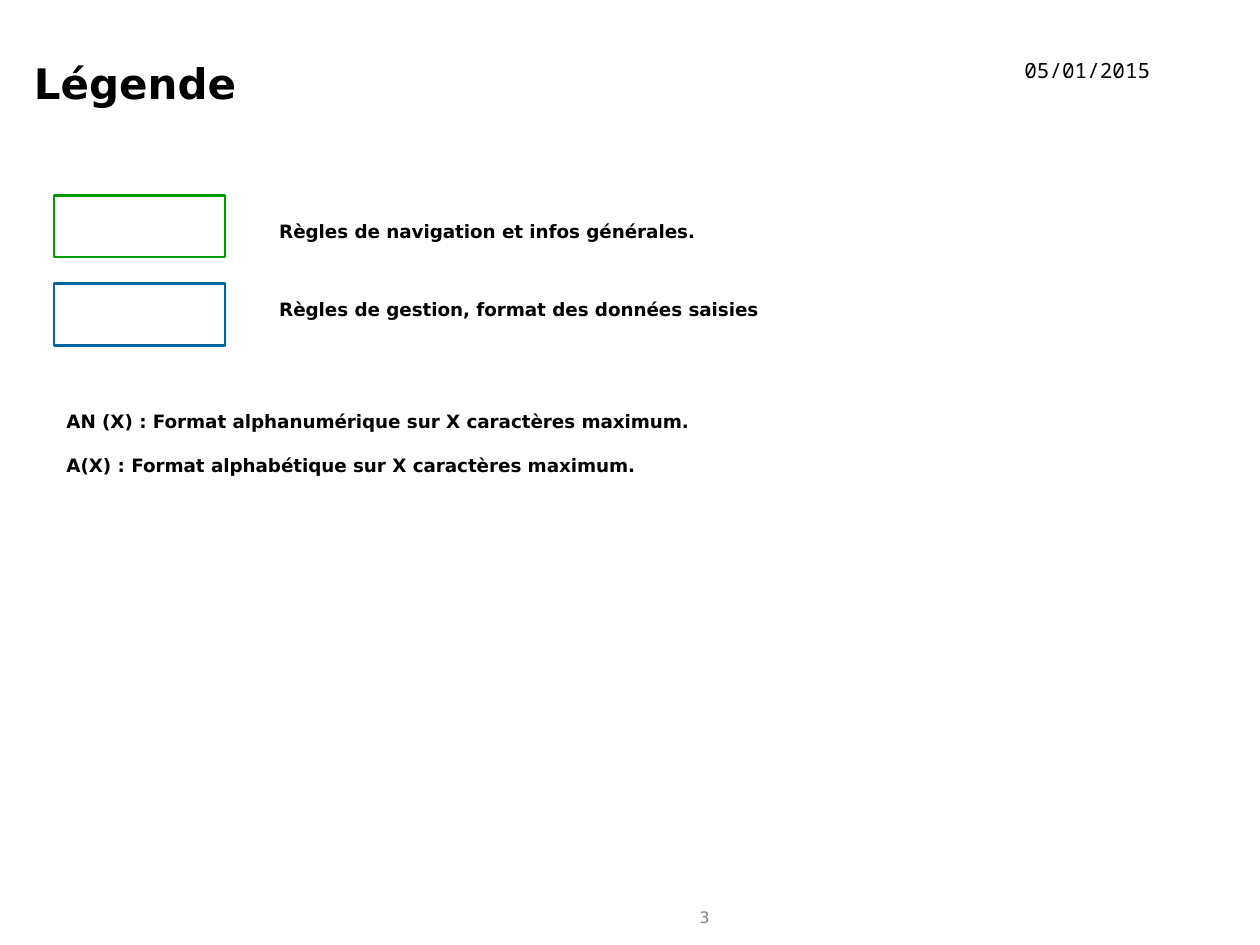
"""Build the legend slide of a specification deck."""
from pptx import Presentation
from pptx.dml.color import RGBColor
from pptx.enum.shapes import MSO_SHAPE
from pptx.enum.text import MSO_ANCHOR, PP_ALIGN
from pptx.util import Cm, Pt

BLACK = RGBColor(0x00, 0x00, 0x00)
GREY = RGBColor(0x81, 0x81, 0x81)
GREEN = RGBColor(0x00, 0x99, 0x00)
BLUE = RGBColor(0x00, 0x66, 0xA1)
SANS, MONO = "DejaVu Sans", "Noto Sans Mono"

TITLE = "Légende"
DATE = "05/01/2015"
PAGE = "3"
LEGEND = [
    (GREEN, "Règles de navigation et infos générales. "),
    (BLUE, "Règles de gestion, format des données saisies"),
]
FORMATS = [
    "AN (X) : Format alphanumérique sur X caractères maximum.",
    "A(X) : Format alphabétique sur X caractères maximum.",
]

LEFT, TEXT_LEFT, TEXT_W = 1.09, 5.38, 17.75
KEY_TOP, KEY_STEP, KEY_W, KEY_H = 3.94, 1.78, 3.45, 1.24
LABEL_TOP, LABEL_STEP, LABEL_H = 4.32, 1.57, 0.74


def write(sp, *lines, size=10.5, font=SANS, color=BLACK, bold=True, wrap=True,
          align=PP_ALIGN.LEFT, anchor=MSO_ANCHOR.TOP, spacing=None):
    tf = sp.text_frame
    tf.word_wrap = wrap
    tf.vertical_anchor = anchor
    for i, line in enumerate(lines):
        p = tf.add_paragraph() if i else tf.paragraphs[0]
        p.alignment, p.line_spacing = align, spacing
        r = p.add_run()
        r.text = line
        r.font.size, r.font.name, r.font.bold = Pt(size), font, bold
        r.font.color.rgb = color


prs = Presentation()
prs.slide_width, prs.slide_height = Cm(25.4), Cm(19.05)
s = prs.slides.add_slide(prs.slide_layouts[5])


def add_text(x, y, w, h, *lines, **fmt):
    write(s.shapes.add_textbox(Cm(x), Cm(y), Cm(w), Cm(h)), *lines, **fmt)


title = s.shapes.title
title.left, title.top, title.width, title.height = Cm(0.43), Cm(1.04), Cm(17.17), Cm(2.11)
write(title, TITLE, size=24)

add_text(20.4, 1.04, 3.12, 0.76, DATE, size=12, font=MONO, bold=False, wrap=False)
add_text(13.34, 18.16, 1.73, 0.66, PAGE, size=9, color=GREY, bold=False,
         align=PP_ALIGN.CENTER, anchor=MSO_ANCHOR.MIDDLE)

for i, (color, label) in enumerate(LEGEND):
    key = s.shapes.add_shape(MSO_SHAPE.FLOWCHART_PROCESS, Cm(LEFT),
                             Cm(KEY_TOP + i * KEY_STEP), Cm(KEY_W), Cm(KEY_H))
    key.shadow.inherit = False
    key.fill.background()
    key.line.color.rgb, key.line.width = color, Pt(1.5)
    add_text(TEXT_LEFT, LABEL_TOP + i * LABEL_STEP, TEXT_W, LABEL_H, label)

add_text(LEFT, 7.7, TEXT_W, 2.06, *FORMATS, spacing=2.0)

prs.save("out.pptx")
